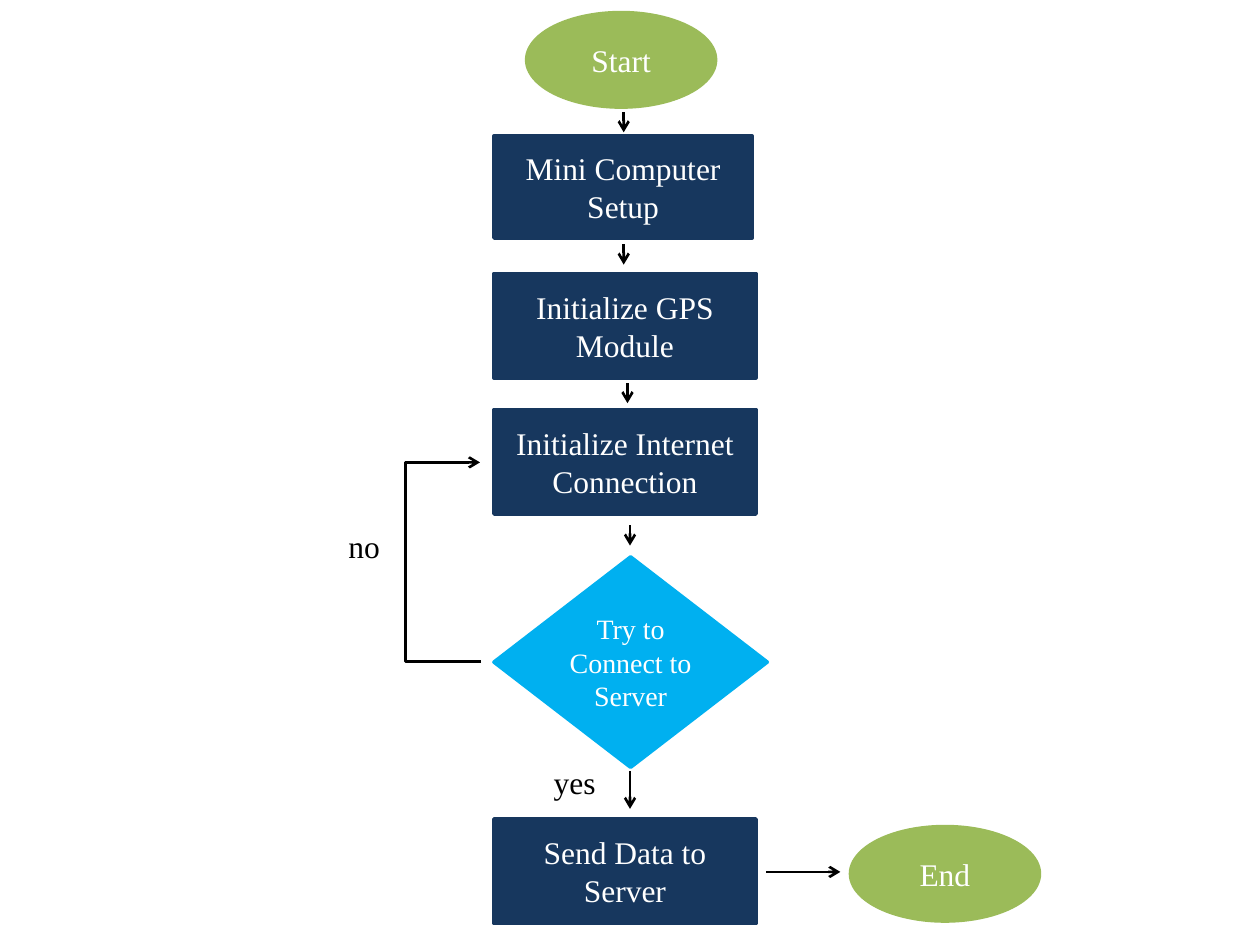
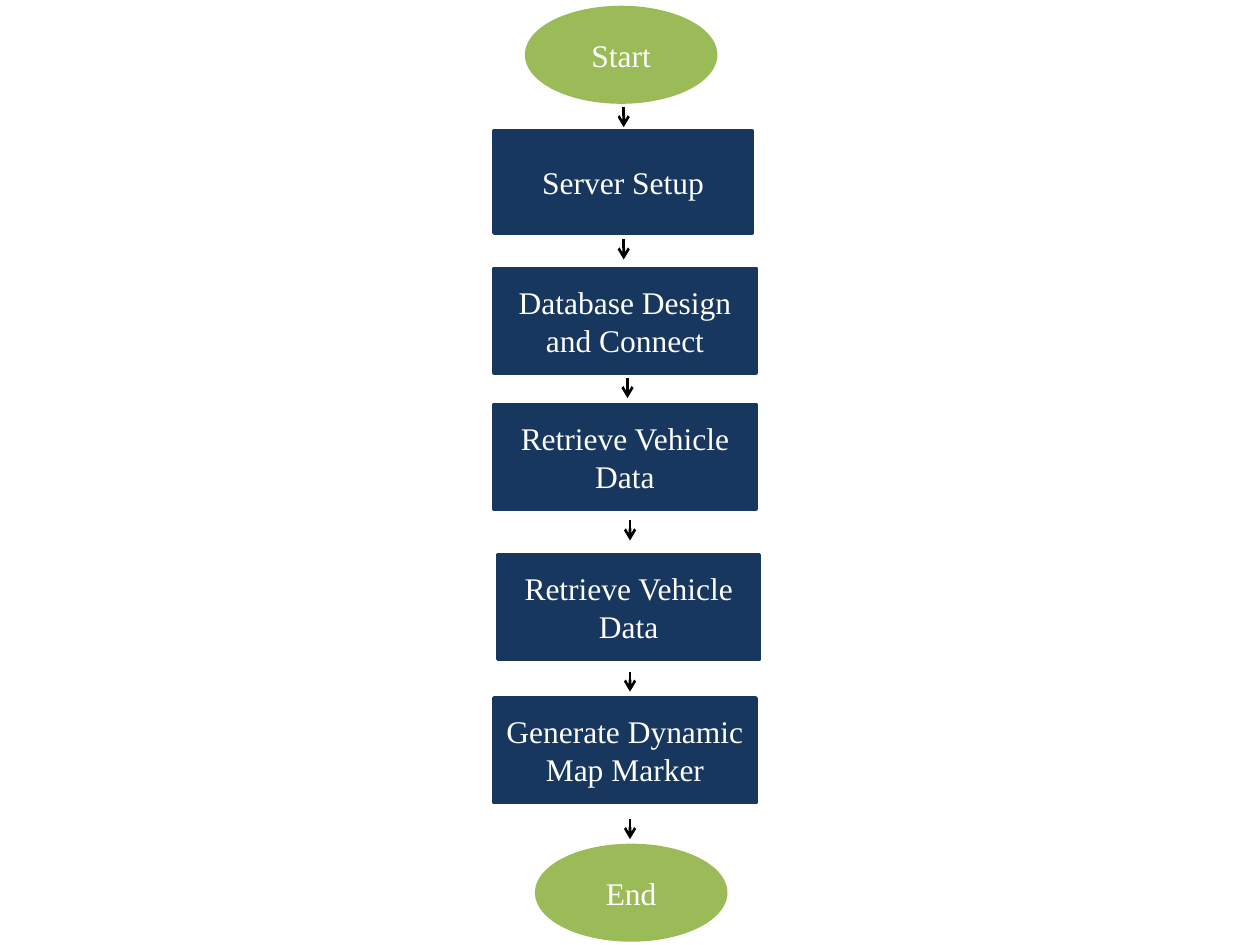
from lxml import etree
from pptx import Presentation
from pptx.dml.color import RGBColor
from pptx.enum import shapes, text
from pptx.oxml import ns
from pptx.util import Inches, Pt

GREEN = RGBColor(0x9B, 0xBB, 0x59)
NAVY = RGBColor(0x17, 0x37, 0x5E)
SKY = RGBColor(0x00, 0xB0, 0xF0)
WHITE = RGBColor(0xFF, 0xFF, 0xFF)
BLACK = RGBColor(0x00, 0x00, 0x00)

FONT = "Times New Roman"
STEP_LEFT = 3.92
STEP_SIZE = (2.08, 0.83)
SETUP_SIZE = (2.05, 0.81)
SHORT_ARROW = 0.16


class Flowchart:
    def __init__(self, deck):
        self.deck = deck
        self.slide = None

    def new_slide(self):
        self.slide = self.deck.slides.add_slide(self.deck.slide_layouts[6])

    def set_words(self, holder, words, color, size=18):
        frame = holder.text_frame
        frame.word_wrap = True
        frame.vertical_anchor = text.MSO_ANCHOR.MIDDLE
        frame.text = words
        paragraph = frame.paragraphs[0]
        paragraph.alignment = text.PP_ALIGN.CENTER
        font = paragraph.runs[0].font
        font.name, font.size, font.color.rgb = FONT, Pt(size), color

    def node(self, kind, left, top, size, color, words, font_size=18):
        node = self.slide.shapes.add_shape(
            kind, Inches(left), Inches(top), Inches(size[0]), Inches(size[1]))
        node.shadow.inherit = False
        node.fill.solid()
        node.fill.fore_color.rgb = color
        node.line.color.rgb = color
        node.line.width = Pt(2)
        self.set_words(node, words, WHITE, font_size)
        return node

    def step(self, top, words, left=STEP_LEFT, size=STEP_SIZE):
        self.node(shapes.MSO_SHAPE.RECTANGLE, left, top, size, NAVY, words)

    def terminal(self, left, top, words):
        self.node(shapes.MSO_SHAPE.OVAL, left, top, (1.5, 0.75), GREEN, words)

    def decision(self, top, words):
        diamond = self.node(shapes.MSO_SHAPE.DIAMOND, STEP_LEFT, top,
                            (2.17, 1.67), SKY, words, 16)
        diamond.text_frame.margin_left = diamond.text_frame.margin_right = 0

    def label(self, left, top, width, height, words):
        box = self.slide.shapes.add_textbox(
            Inches(left), Inches(top), Inches(width), Inches(height))
        self.set_words(box, words, BLACK)

    def arrow(self, x1, y1, x2, y2, kind=shapes.MSO_CONNECTOR.STRAIGHT):
        arrow = self.slide.shapes.add_connector(
            kind, Inches(x1), Inches(y1), Inches(x2), Inches(y2))
        arrow.line.color.rgb = BLACK
        arrow.line.width = Pt(1.5)
        outline = arrow._element.spPr.find(ns.qn("a:ln"))
        etree.SubElement(outline, ns.qn("a:tailEnd"), type="arrow")
        etree.SubElement(arrow._element.spPr, ns.qn("a:effectLst"))
        return arrow

    def down(self, x, top, length=SHORT_ARROW):
        self.arrow(x, top, x, top + length)

    def loop_back(self, x, bottom, top, reach):
        """Arrow that leaves to the left, climbs and returns to the same side."""
        width = 0.01
        loop = self.arrow(x, bottom, x - width, top, shapes.MSO_CONNECTOR.ELBOW)
        guides = loop._element.spPr.find(ns.qn("a:prstGeom")).get_or_add_avLst()
        bend = round(reach / width * 100000)
        etree.SubElement(guides, ns.qn("a:gd"), name="adj1", fmla=f"val {bend}")

    def opening(self, top, setup, second, third):
        """Start, the first three steps and the arrow after each of them."""
        self.terminal(4.18, top, "Start")
        self.step(top + 0.98, setup, size=SETUP_SIZE)
        self.step(top + 2.07, second)
        self.step(top + 3.15, third)
        for x, offset in ((4.95, 0.79), (4.95, 1.84), (4.98, 2.94), (5, 4.07)):
            self.down(x, top + offset)


def device_flow(chart):
    chart.new_slide()
    chart.opening(0.1, "Mini Computer Setup", "Initialize GPS Module",
                  "Initialize Internet Connection")
    chart.decision(4.42, "Try to Connect to Server")
    chart.loop_back(3.82, 5.25, 3.67, 0.61)
    chart.label(2.64, 4.08, 0.5, 0.5, "no")
    chart.down(5, 6.12, 0.3)
    chart.label(4.25, 6.08, 0.62, 0.25, "yes")
    chart.step(6.5, "Send Data to Server")
    chart.arrow(6.08, 6.92, 6.67, 6.92)
    chart.terminal(6.75, 6.56, "End")


def server_flow(chart):
    chart.new_slide()
    chart.opening(0.06, "Server Setup", "Database Design and Connect",
                  "Retrieve Vehicle Data")
    chart.step(4.4, "Retrieve Vehicle Data", left=3.95)
    chart.down(5, 5.33)
    chart.step(5.54, "Generate Dynamic Map Marker")
    chart.down(5, 6.5)
    chart.terminal(4.26, 6.71, "End")


def main():
    deck = Presentation()
    deck.slide_width, deck.slide_height = Inches(10), Inches(7.5)
    chart = Flowchart(deck)
    device_flow(chart)
    server_flow(chart)
    deck.save("out.pptx")


if __name__ == "__main__":
    main()
